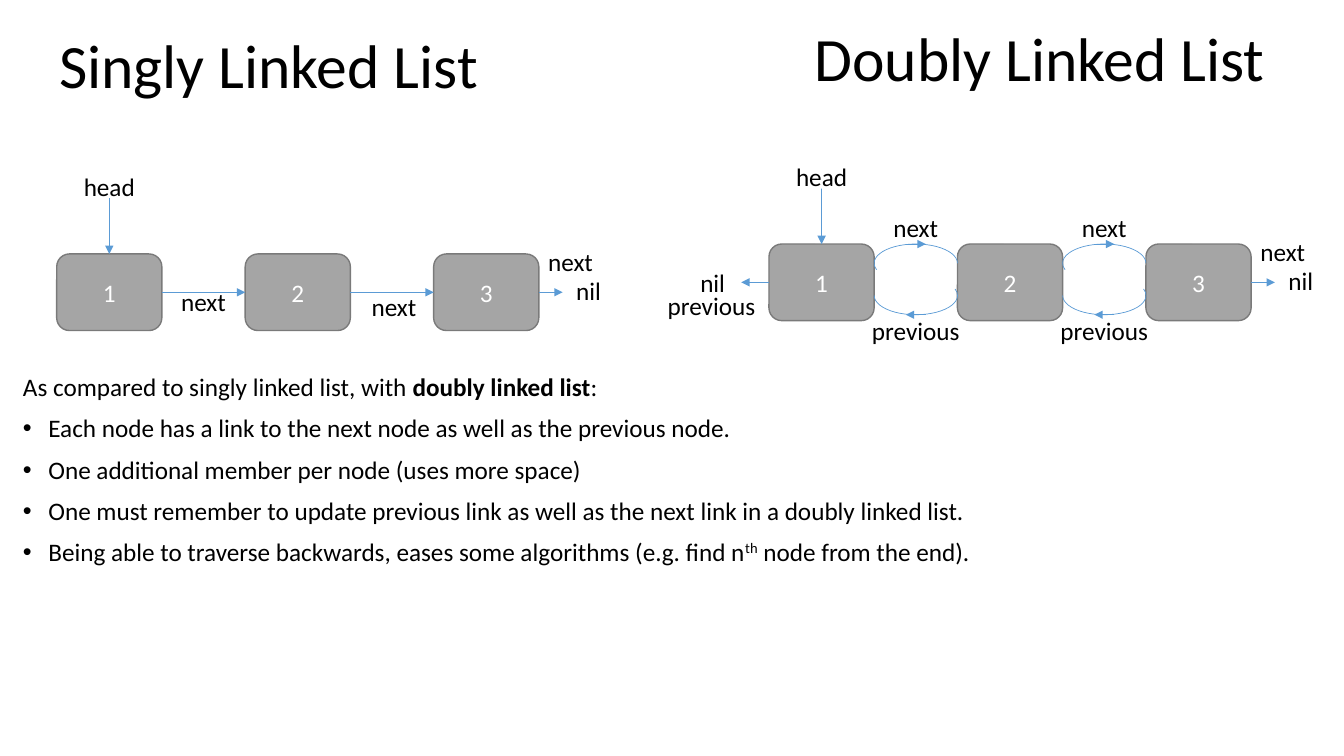
from dataclasses import dataclass

from lxml.etree import SubElement
from pptx import Presentation
from pptx.dml.color import RGBColor
from pptx.enum.shapes import MSO_CONNECTOR as Line, MSO_SHAPE as Shape
from pptx.enum.text import MSO_ANCHOR as Anchor, MSO_AUTO_SIZE as AutoSize, PP_ALIGN as Align
from pptx.oxml.ns import qn
from pptx.util import Cm, Pt


@dataclass(frozen=True)
class Theme:
    font: str = "Calibri"
    text: RGBColor = RGBColor(0x00, 0x00, 0x00)
    node_text: RGBColor = RGBColor(0xFF, 0xFF, 0xFF)
    node_fill: RGBColor = RGBColor(0xA5, 0xA5, 0xA5)
    node_edge: RGBColor = RGBColor(0x7A, 0x7A, 0x7A)
    link: RGBColor = RGBColor(0x5B, 0x9B, 0xD5)
    title_size: Pt = Pt(44)
    text_size: Pt = Pt(18)
    node_edge_width: Pt = Pt(1)
    link_width: Pt = Pt(0.5)


THEME = Theme()

# Chain geometry in centimetres
NODE_W, NODE_H, PITCH = 2.65, 1.93, 4.75
GAP = PITCH - NODE_W
ARC_H, BACK_ARC_TOP, ARC_ADJUST = 0.97, 0.81, 102.322
LABEL_WIDTHS = {"head": 2.95, "nil": 1.73, "next": 1.78, "previous": 2.84}
LABEL_H = 1.02


def style_runs(paragraph, size=THEME.text_size, color=THEME.text):
    for run in paragraph.runs:
        run.font.name = THEME.font
        run.font.size = size
        run.font.color.rgb = color


def add_text_box(slide, box):
    text_box = slide.shapes.add_textbox(*map(Cm, box))
    text_box.text_frame.word_wrap = True
    return text_box


def format_title(holder, text):
    frame = holder.text_frame
    frame.text = text
    frame.word_wrap = True
    frame.auto_size = AutoSize.NONE
    frame.vertical_anchor = Anchor.MIDDLE
    heading = frame.paragraphs[0]
    heading.alignment = Align.LEFT
    heading.line_spacing = 0.9
    style_runs(heading, THEME.title_size)


def add_label(slide, text, center, top):
    width = LABEL_WIDTHS[text]
    label = add_text_box(slide, (center - width / 2, top, width, LABEL_H))
    frame = label.text_frame
    frame.text = text
    frame.auto_size = AutoSize.SHAPE_TO_FIT_TEXT
    frame.paragraphs[0].alignment = Align.CENTER
    style_runs(frame.paragraphs[0])


def add_arrow(slide, x1, y1, x2, y2, start=None, end=None):
    """start and end are optional (node, side) pairs to join."""
    arrow = slide.shapes.add_connector(Line.STRAIGHT, Cm(x1), Cm(y1), Cm(x2), Cm(y2))
    if start:
        arrow.begin_connect(*start)
    if end:
        arrow.end_connect(*end)
    arrow.line.color.rgb = THEME.link
    arrow.line.width = THEME.link_width
    properties = arrow.element.spPr
    SubElement(properties.find(qn("a:ln")), qn("a:tailEnd"), type="triangle")
    SubElement(properties, qn("a:effectLst"))


def add_arc(slide, left, top, rotation):
    arc = slide.shapes.add_shape(Shape.ARC, Cm(left), Cm(top), Cm(GAP), Cm(ARC_H))
    arc.adjustments[0] = ARC_ADJUST
    arc.adjustments[1] = 0
    arc.rotation = rotation
    arc.shadow.inherit = False
    arc.fill.background()
    arc.line.color.rgb = THEME.link
    arc.line.width = THEME.link_width


def add_node(slide, value, left, top):
    node = slide.shapes.add_shape(
        Shape.ROUNDED_RECTANGLE, Cm(left), Cm(top), Cm(NODE_W), Cm(NODE_H))
    node.shadow.inherit = False
    node.fill.solid()
    node.fill.fore_color.rgb = THEME.node_fill
    node.line.color.rgb = THEME.node_edge
    node.line.width = THEME.node_edge_width
    frame = node.text_frame
    frame.text = str(value)
    frame.vertical_anchor = Anchor.MIDDLE
    frame.paragraphs[0].alignment = Align.CENTER
    style_runs(frame.paragraphs[0], color=THEME.node_text)
    return node


def add_chain(slide, left, top):
    """Three nodes with the head pointer and the closing nil link."""
    nodes = [add_node(slide, i + 1, left + i * PITCH, top) for i in range(3)]
    head_x, middle = left + NODE_W / 2, top + NODE_H / 2
    right = left + 2 * PITCH + NODE_W
    add_arrow(slide, head_x, top - 1.4, head_x, top, end=(nodes[0], 0))
    add_arrow(slide, right, middle, right + 0.6, middle, start=(nodes[2], 3))
    add_label(slide, "head", head_x, top - 2.2)
    add_label(slide, "next", right + 0.8, top - 0.33)
    add_label(slide, "nil", right + 1.25, top + 0.42)
    return nodes


def add_singly_list(slide, left, top):
    nodes = add_chain(slide, left, top)
    middle = top + NODE_H / 2
    for i, label_drop in enumerate((0.69, 0.81)):
        gap_left = left + i * PITCH + NODE_W
        add_arrow(slide, gap_left, middle, gap_left + GAP, middle,
                  start=(nodes[i], 3), end=(nodes[i + 1], 1))
        add_label(slide, "next", gap_left + GAP / 2 + 0.05 * i, top + label_drop)


def add_doubly_list(slide, left, top):
    nodes = add_chain(slide, left, top)
    middle = top + NODE_H / 2
    back_top = top + BACK_ARC_TOP
    back_bottom = back_top + ARC_H
    for i in range(2):
        gap_left = left + i * PITCH + NODE_W
        center = gap_left + GAP / 2
        add_arc(slide, gap_left, top, 0)
        add_arc(slide, gap_left, back_top, 180)
        add_arrow(slide, gap_left + 0.8, top, gap_left + 1.3, top)
        add_arrow(slide, gap_left + 1.3, back_bottom, gap_left + 0.8, back_bottom)
        add_label(slide, "next", center, top - 0.92)
        add_label(slide, "previous", center, top + 1.67)
    # Backward link of the first node
    add_arrow(slide, left, middle, left - 0.7, middle, start=(nodes[0], 1))
    add_label(slide, "nil", left - 1.42, top + 0.45)
    add_label(slide, "previous", left - 1.45, top + 1.04)


def add_comparison(slide, box):
    # Each line is a list of (text, style) pieces
    lines = [
        [("As compared to singly linked list, with ", ""), ("doubly linked list", "bold"), (":", "")],
        [("Each node has a link to the next node as well as the previous node.", "")],
        [("One additional member per node (uses more space)", "")],
        [("One must remember to update previous link as well as the next link"
          " in a doubly linked list.", "")],
        [("Being able to traverse backwards, eases some algorithms (e.g. find n", ""),
         ("th", "superscript"), (" node from the end).", "")],
    ]
    frame = add_text_box(slide, box).text_frame
    for i, pieces in enumerate(lines):
        line = frame.add_paragraph() if i else frame.paragraphs[0]
        line.line_spacing = 0.9
        line.space_before = Pt(10)
        for text, style in pieces:
            run = line.add_run()
            run.text = text
            run.font.bold = style == "bold"
            if style == "superscript":
                run._r.get_or_add_rPr().set("baseline", "30000")
        style_runs(line)
        if i:
            properties = line._p.get_or_add_pPr()
            properties.set("marL", str(Cm(0.64)))
            properties.set("indent", str(-Cm(0.64)))
            SubElement(properties, qn("a:buFont"), typeface="Arial")
            SubElement(properties, qn("a:buChar"), char="•")


def build_comparison_slide(deck):
    slide = deck.slides.add_slide(deck.slide_layouts[5])
    # Titles
    title = slide.shapes.title
    title.left, title.top, title.width, title.height = map(Cm, (20.27, -0.28, 12.27, 3.68))
    format_title(title, "Doubly Linked List")
    format_title(add_text_box(slide, (1.24, -0.1, 12.27, 3.68)), "Singly Linked List")
    # Diagrams and comparison
    add_singly_list(slide, 1.43, 6.4)
    add_doubly_list(slide, 19.38, 6.15)
    add_comparison(slide, (0.33, 9.32, 25, 9.55))


def main():
    deck = Presentation()
    deck.slide_width, deck.slide_height = Cm(33.87), Cm(19.05)
    build_comparison_slide(deck)
    deck.save("out.pptx")


if __name__ == "__main__":
    main()
